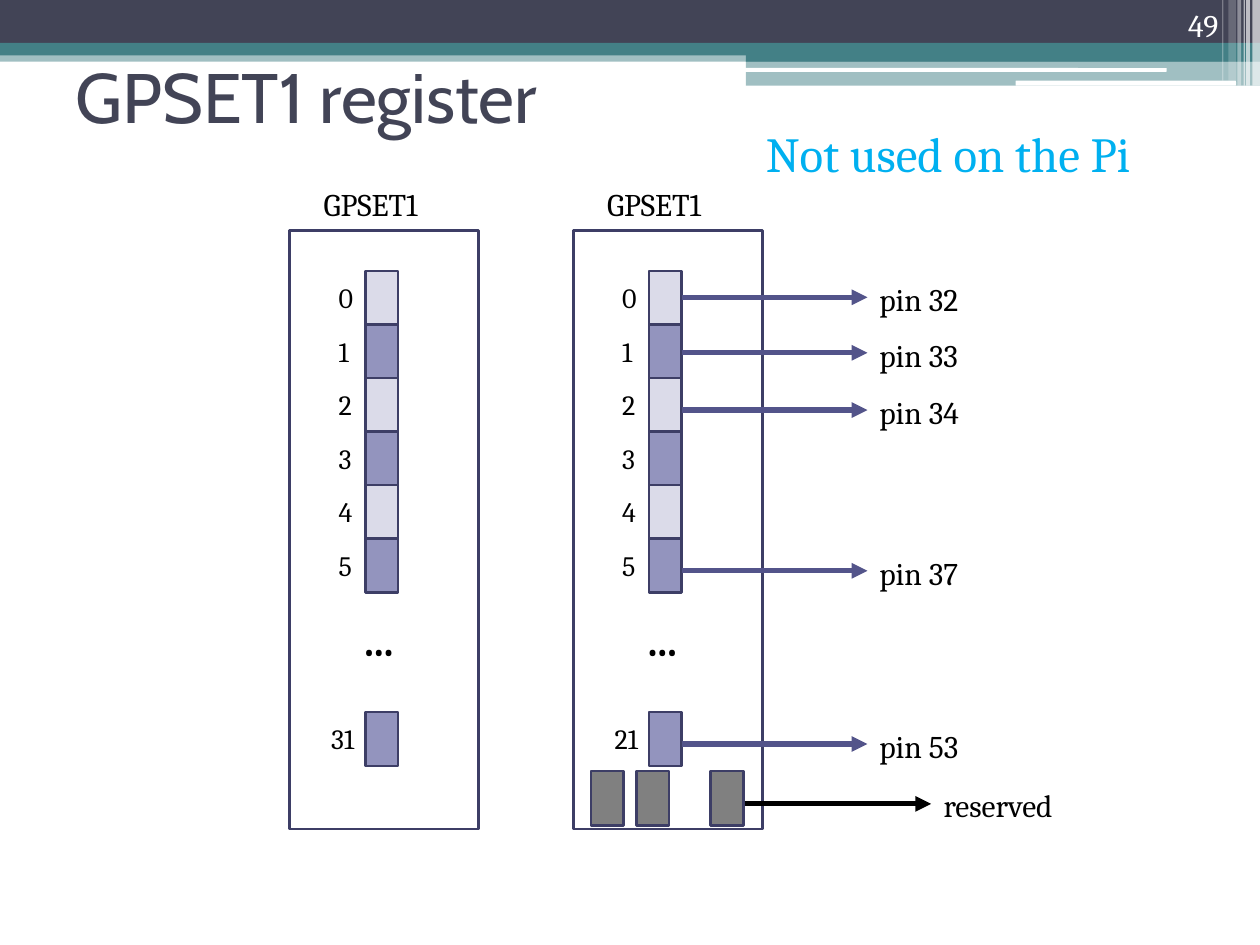
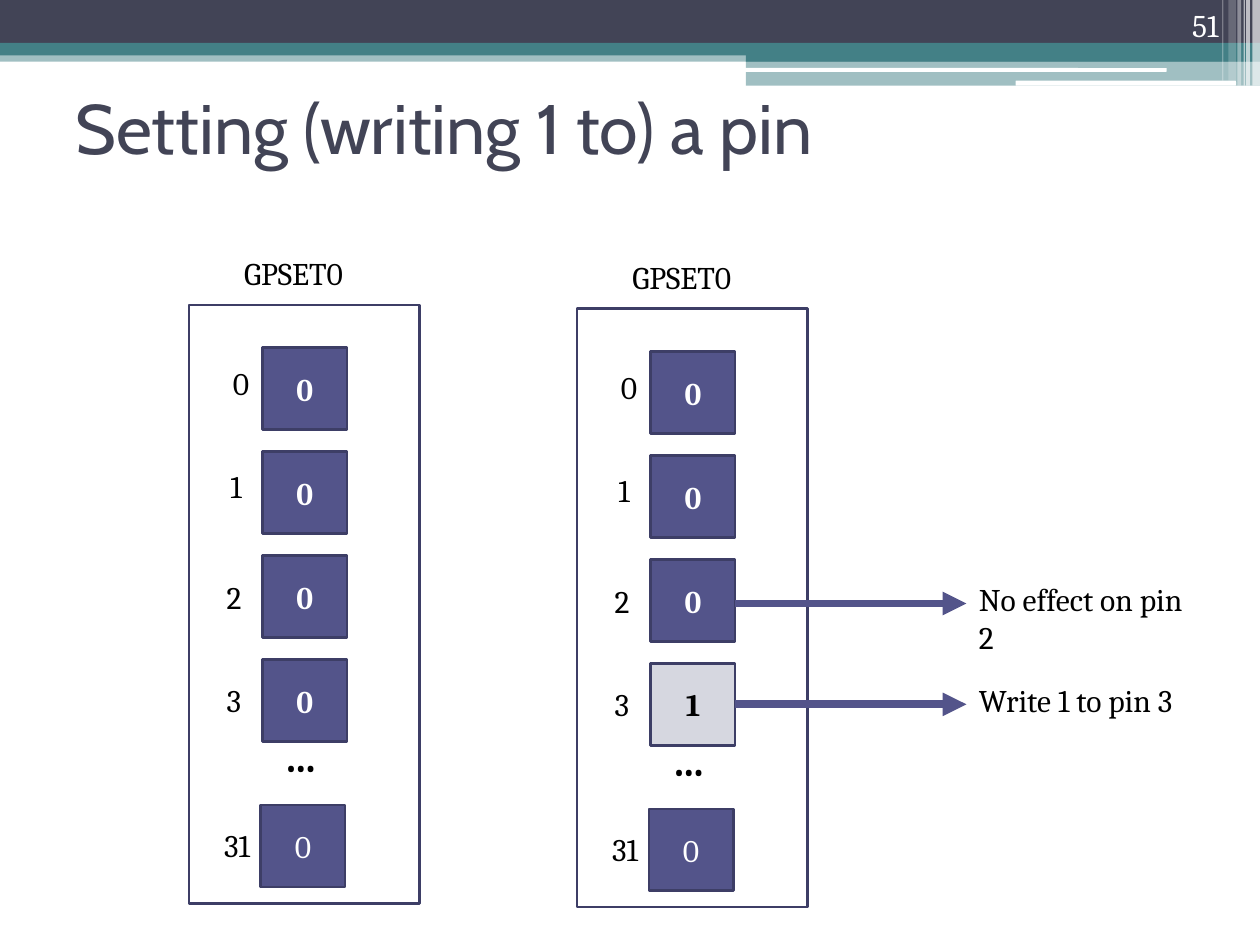
from lxml import etree
from pptx import Presentation
from pptx import util as u
from pptx.dml.color import RGBColor
from pptx.enum import shapes, text
from pptx.oxml.ns import qn

COLS, ROWS = 100, 75
INK = {
    "navy": "424456", "teal": "438086", "white": "FFFFFF", "black": "000000",
    "edge": "3D3E66", "pale": "DBDBE9", "mid": "9394BE", "grey": "808080",
    "deep": "53548A", "set": "D6D7E0", "sky": "00B0F0",
}
BANDS = [
    (0, 4, 100, 0.9, "teal", 50), (0, 0, 100, 3.4, "navy", 100),
    (0, 3.4, 100, 1, "teal", 100), (59.2, 3.9, 40.8, 1, "teal", 100),
    (59.2, 4.8, 40.8, 2, "teal", 50),
]
RULES = [(59.1, 5.4, 33.5, 0.3), (80.6, 6.4, 17.5, 0.4)]
STRIPES = [
    (99.4, 0.6, 6.8, 65), (98.9, 0.3, 6.8, 65), (98.7, 0.1, 6.8, 60),
    (98.2, 0.3, 6.8, 40), (97.5, 0.6, 6.4, 20), (97, 0.1, 6.4, 30),
]


class Deck:
    head, body = "Cabin", "Cambria"

    def __init__(self):
        self.show = Presentation()
        self.show.slide_width = u.Inches(10)
        self.show.slide_height = u.Inches(7.5)
        self.slide = None

    def place(self, *spots):
        sides = (self.show.slide_width / COLS, self.show.slide_height / ROWS)
        return [round(spot * sides[i % 2]) for i, spot in enumerate(spots)]

    def tint(self, name):
        return RGBColor.from_string(INK[name])

    def fill_text(self, frame, runs, size, ink, font=None, bold=False, align="LEFT"):
        para = frame.paragraphs[0]
        para.alignment = getattr(text.PP_ALIGN, align)
        for words in runs:
            run = para.add_run()
            run.text = words
            run.font.name = font or self.body
            run.font.size = u.Pt(size)
            run.font.bold = bold
            run.font.color.rgb = self.tint(ink)

    def label(self, x, y, w, h, words, size=18, ink="black", wrap=False,
              grow=True, anchor="TOP", **look):
        box = self.slide.shapes.add_textbox(*self.place(x, y, w, h))
        frame = box.text_frame
        frame.word_wrap = wrap
        kind = text.MSO_AUTO_SIZE
        frame.auto_size = kind.SHAPE_TO_FIT_TEXT if grow else kind.NONE
        frame.vertical_anchor = getattr(text.MSO_ANCHOR, anchor)
        self.fill_text(frame, [words], size, ink, **look)

    def block(self, x, y, w, h, fill=None, line=None, alpha=100, form="RECTANGLE"):
        kind = getattr(shapes.MSO_SHAPE, form)
        shape = self.slide.shapes.add_shape(kind, *self.place(x, y, w, h))
        shape.shadow.inherit = False
        if fill:
            shape.fill.solid()
            shape.fill.fore_color.rgb = self.tint(fill)
            if alpha < 100:
                ink = shape.element.spPr.find(".//" + qn("a:srgbClr"))
                etree.SubElement(ink, qn("a:alpha")).set("val", str(alpha * 1000))
        else:
            shape.fill.background()
        if line:
            shape.line.color.rgb = self.tint(line)
            shape.line.width = u.Pt(1.5)
        else:
            shape.line.fill.background()
        return shape

    def bit(self, x, y, value, fill="deep", ink="white", bold=True):
        shape = self.block(x, y, 6.7, 6.5, fill, "edge")
        shape.text_frame.vertical_anchor = text.MSO_ANCHOR.MIDDLE
        self.fill_text(shape.text_frame, [value], 18, ink, bold=bold, align="CENTER")

    def arrow(self, x, y, w, ink="deep", width=3):
        line = self.slide.shapes.add_connector(
            shapes.MSO_CONNECTOR.STRAIGHT, *self.place(x, y, x + w, y))
        line.line.color.rgb = self.tint(ink)
        line.line.width = u.Pt(width)
        props = line.element.spPr
        tip = etree.SubElement(props.find(qn("a:ln")), qn("a:tailEnd"))
        tip.set("type", "triangle")
        etree.SubElement(props, qn("a:effectLst"))

    def page(self, title, number, top):
        self.slide = self.show.slides.add_slide(self.show.slide_layouts[6])
        for x, y, w, h, ink, alpha in BANDS:
            self.block(x, y, w, h, ink, alpha=alpha)
        for spot in RULES:
            self.block(*spot, "white", form="ROUNDED_RECTANGLE")
        for x, w, h, alpha in STRIPES:
            self.block(x, 0, w, h, "white", alpha=alpha)
        self.label(5, top, 90, 11.7, title, 40, "navy", wrap=True, grow=False,
                   anchor="MIDDLE", font=self.head)
        self.label(89.4, 0, 8.3, 4, number, ink="white", wrap=True, grow=False,
                   anchor="BOTTOM", align="RIGHT")

    def narrow(self, x, y, last):
        for i in range(6):
            top = y + 3.2 + 4.25 * i
            self.block(x + 6, top, 2.6, 4.3, ("pale", "mid")[i % 2], "edge")
            self.label(x + 2.9, top + 0.3, 3.3, 3.7, str(i), 16)
        self.block(x + 6, y + 38.2, 2.6, 4.3, "mid", "edge")
        self.label(x + 2.3, y + 38.5, 4.2, 3.7, last, 16)
        self.label(x + 4.8, y + 30, 5.2, 5, "…", 24, bold=True)
        self.block(x, y, 15, 47.5, line="edge")
        self.label(x + 1.7, y - 4.1, 11.1, 4, "GPSET1")

    def wide(self, x, y, values):
        self.block(x, y, 18.3, 47.5, line="edge")
        marks = [(2.5, 4.2), (2.3, 12.4), (2, 21.2), (2, 29.4)]
        for i, (value, (left, top)) in enumerate(zip(values, marks)):
            look = ("set", "black") if value == "1" else ("deep", "white")
            self.bit(x + 5.85, y + 3.4 + 8.25 * i, value, *look)
            self.label(x + left, y + top, 3.4, 4, str(i))
        self.label(x + 6.6, y + 33.3, 5.2, 5, "…", 24, bold=True)
        self.bit(x + 5.7, y + 39.7, "0", bold=False)
        self.label(x + 1.8, y + 40.9, 4.5, 4, "31")
        self.label(x + 3.4, y - 4.5, 11.6, 4, "GPSET0")


def unused(deck):
    deck.page("GPSET1 register", "49", 1.7)
    deck.narrow(23, 18.3, "31")
    deck.narrow(45.5, 18.3, "21")
    for x in (46.9, 50.5, 56.4):
        deck.block(x, 61.2, 2.6, 4.3, "grey", "edge")
    pins = [(32, 23.6), (33, 28), (34, 32.55), (37, 45.3), (53, 59.05)]
    for pin, y in pins:
        deck.arrow(54.1, y, 14.75)
        deck.label(68.8, y - 1.85, 9.1, 4, f"pin {pin}")
    deck.arrow(59.1, 63.8, 14.8, "black")
    deck.label(73.9, 61.9, 11.6, 4, "reserved")
    deck.label(59.8, 9.3, 33.9, 5.7, "Not used on the Pi", 28, "sky")


def setting(deck):
    deck.page("Setting (writing 1 to) a pin", "51", 4.2)
    deck.wide(15, 24.2, "0000")
    deck.wide(45.8, 24.5, "0001")
    notes = [(55.9, 4, "Write 1 to pin 3"), (47.9, 7.1, "No effect on pin 2")]
    for y, h, words in notes:
        deck.arrow(58.3, y, 18.4, width=4.5)
        deck.label(76.7, y - 2.35, 19.2, h, words, wrap=True)


def main():
    deck = Deck()
    unused(deck)
    setting(deck)
    deck.show.save("out.pptx")


if __name__ == "__main__":
    main()
